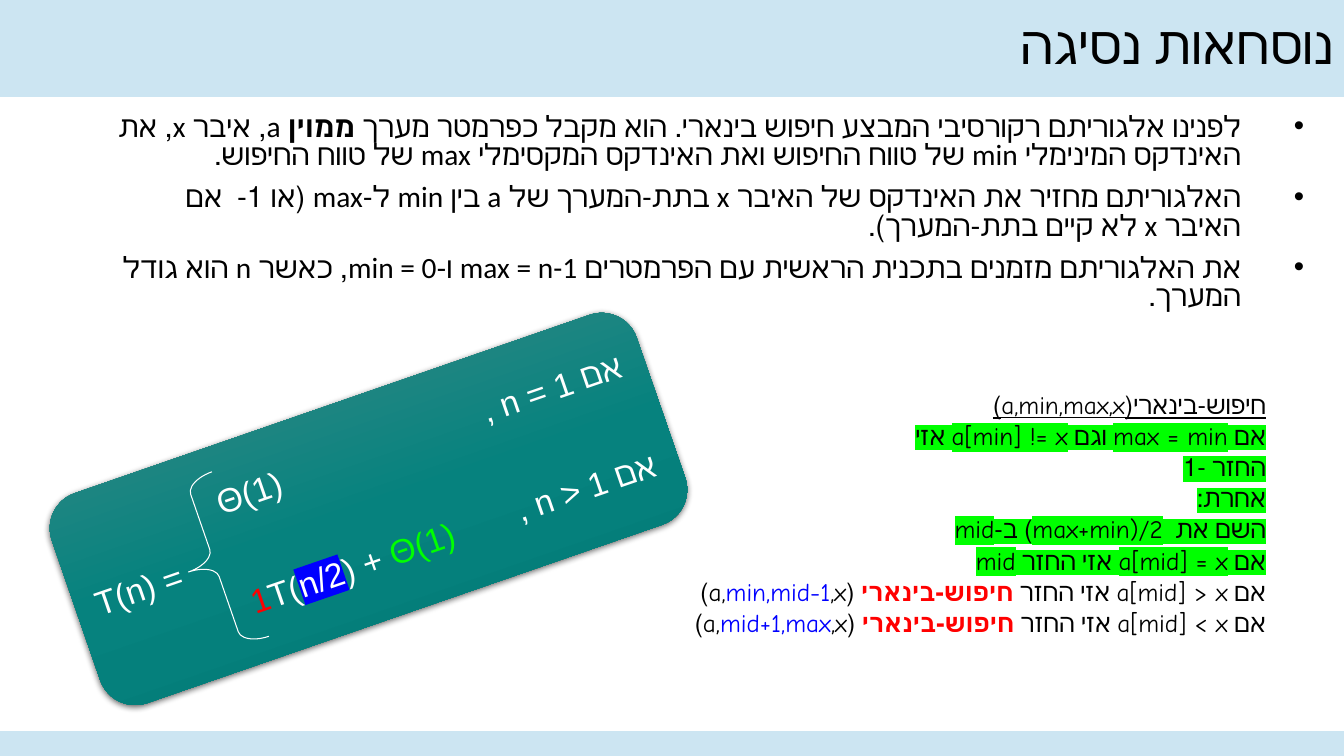
from lxml import etree
from pptx import Presentation
from pptx import util as u
from pptx.dml.color import RGBColor
from pptx.enum import shapes, text
from pptx.oxml import ns, parse_xml

SCALE = 914400 / 100.8
TILT = 340.9
COLORS = {
    "band": "CCE5F2", "ink": "000000", "white": "FFFFFF", "red": "FF0000",
    "blue": "0000FF", "green": "00FF00",
    "card_top": "478C88", "card_middle": "06827E", "card_bottom": "007773",
}

BULLETS = [
    [("לפנינו אלגוריתם רקורסיבי המבצע חיפוש בינארי. הוא מקבל כפרמטר מערך ", {}),
     ("ממוין", {"bold": True}),
     (" a, איבר x, את האינדקס המינימלי min של טווח החיפוש ואת האינדקס המקסימלי max של טווח החיפוש.", {})],
    [("האלגוריתם מחזיר את האינדקס של האיבר x בתת-המערך של a בין min ל-max (או 1-  אם האיבר x לא קיים בתת-המערך).", {})],
    [("את האלגוריתם מזמנים בתכנית הראשית עם הפרמטרים max = n-1 ו-min = 0, כאשר n הוא גודל המערך.", {})],
]
MARKED_STEPS = [
    "אם max = min וגם a[min] != x אזי",
    "החזר -1",
    "אחרת:",
    "השם את  max+min)/2) ב-mid",
    "אם a[mid] = x אזי החזר mid",
]
RECURSIVE_STEPS = [(">", "min,mid-1"), ("<", "mid+1,max")]


def px(length):
    return u.Emu(round(length * SCALE))


def rgb(name):
    return RGBColor.from_string(COLORS[name])


def add_span(para, words, font, size, color="ink", bold=False, underline=False, mark=None):
    span = para.add_run()
    span.text = words
    span.font.name = font
    span.font.size = u.Pt(size)
    span.font.bold = bold
    span.font.underline = underline
    span.font.color.rgb = rgb(color)
    if mark:
        highlight = etree.Element(ns.qn("a:highlight"))
        etree.SubElement(highlight, ns.qn("a:srgbClr"), val=COLORS[mark])
        span.font._element.find(ns.qn("a:solidFill")).addnext(highlight)


def set_right_to_left(para, margin=0, indent=0, bullet=None):
    para.alignment = text.PP_ALIGN.RIGHT
    settings = para._p.get_or_add_pPr()
    settings.set("rtl", "1")
    settings.set("marL", "0")
    settings.set("marR", str(px(margin)))
    settings.set("marL", str(px(margin)))
    settings.set("indent", str(px(indent)))
    if bullet:
        etree.SubElement(settings, ns.qn("a:buFont"), typeface="Arial")
        etree.SubElement(settings, ns.qn("a:buChar"), char=bullet)


def next_paragraph(frame):
    first = frame.paragraphs[0]
    return frame.add_paragraph() if first.runs else first


def add_band(page, left, top, width, height):
    band = page.shapes.add_shape(shapes.MSO_SHAPE.RECTANGLE, px(left), px(top), px(width), px(height))
    band.shadow.inherit = False
    band.fill.solid()
    band.fill.fore_color.rgb = rgb("band")
    band.line.color.rgb = rgb("band")
    band.line.width = u.Pt(1)


def place_title(page, left, top, width, height):
    title = page.shapes.title
    title.left, title.top, title.width, title.height = map(px, (left, top, width, height))
    page.shapes._spTree.append(title._element)
    title.text_frame.vertical_anchor = text.MSO_ANCHOR.MIDDLE
    para = title.text_frame.paragraphs[0]
    set_right_to_left(para)
    para.line_spacing = 0.9
    add_span(para, "נוסחאות נסיגה", "Calibri", 38)


def add_body(page, left, top, width, height):
    box = page.shapes.add_textbox(px(left), px(top), px(width), px(height))
    frame = box.text_frame
    frame.word_wrap = True
    for index, spans in enumerate(BULLETS):
        para = next_paragraph(frame)
        set_right_to_left(para, 63, -63, "•")
        para.line_spacing = 0.8
        para.space_before = u.Pt(10 if index else 0)
        for words, style in spans:
            add_span(para, words, "Calibri", 21, **style)
    steps = [[("חיפוש-בינארי(a,min,max,x)", {"underline": True})]]
    steps += [[(words, {"mark": "green"})] for words in MARKED_STEPS]
    steps += [[(f"אם a[mid] {sign} x אזי החזר ", {}),
               ("חיפוש-בינארי", {"color": "red", "bold": True}),
               (" (a,", {}), (bounds, {"color": "blue"}), (",x)", {})]
              for sign, bounds in RECURSIVE_STEPS]
    for index, spans in enumerate(steps):
        para = next_paragraph(frame)
        set_right_to_left(para, 38)
        para.line_spacing = 0.8
        para.space_before = u.Pt(5 if index else 59)
        for words, style in spans:
            add_span(para, words, "Comic Neue", 18, **style)


def add_card(page, left, top, width, height):
    card = page.shapes.add_shape(shapes.MSO_SHAPE.ROUNDED_RECTANGLE, px(left), px(top), px(width), px(height))
    card.rotation = TILT
    card.line.fill.background()
    stops = "".join(
        f'<a:gs pos="{place}"><a:srgbClr val="{COLORS[name]}"/></a:gs>'
        for place, name in ((0, "card_top"), (50000, "card_middle"), (100000, "card_bottom")))
    card._element.spPr.find(ns.qn("a:prstGeom")).addnext(parse_xml(
        f'<a:gradFill {ns.nsdecls("a")} rotWithShape="1"><a:gsLst>{stops}</a:gsLst>'
        '<a:lin ang="5400000" scaled="0"/></a:gradFill>'))
    card._element.spPr.append(parse_xml(
        f'<a:effectLst {ns.nsdecls("a")}><a:outerShdw blurRad="57150" dist="19050" dir="5400000" '
        f'rotWithShape="0"><a:srgbClr val="{COLORS["ink"]}"><a:alpha val="63000"/></a:srgbClr>'
        '</a:outerShdw></a:effectLst>'))
    card.text_frame.vertical_anchor = text.MSO_ANCHOR.MIDDLE
    para = card.text_frame.paragraphs[0]
    para.alignment = text.PP_ALIGN.LEFT
    add_span(para, "T(n) =", "Arial", 24, "white")


def add_cases(page, left, top, width, height):
    box = page.shapes.add_textbox(px(left), px(top), px(width), px(height))
    box.rotation = TILT
    frame = box.text_frame
    frame.word_wrap = True
    cases = [
        [("Θ(1)", {}), ("\t, n = 1 אם", {})],
        [("1", {"color": "red"}), ("T(", {}), ("n/2", {"mark": "blue"}), (") + ", {}),
         ("Θ(1)", {"color": "green"}), ("\t, n > 1 אם", {})],
    ]
    for index, spans in enumerate(cases):
        para = next_paragraph(frame)
        para.alignment = text.PP_ALIGN.LEFT
        tabs = etree.SubElement(para._p.get_or_add_pPr(), ns.qn("a:tabLst"))
        etree.SubElement(tabs, ns.qn("a:tab"), pos=str(px(281)), algn="l")
        para.space_before = u.Pt(46 * index)
        for words, style in spans:
            add_span(para, words, "Arial", 24, **{"color": "white", **style})


def add_brace(page, left, top, width, height):
    brace = page.shapes.add_shape(shapes.MSO_SHAPE.LEFT_BRACE, px(left), px(top), px(width), px(height))
    brace.rotation = TILT
    brace.adjustments[0] = 0.26
    brace.shadow.inherit = False
    brace.fill.background()
    brace.line.color.rgb = rgb("white")
    brace.line.width = u.Pt(0.75)


def add_recurrence(page, left, top):
    add_card(page, left, top, 619, 222)
    add_cases(page, left + 153, top + 3, 473, 157)
    add_brace(page, left + 128, top + 78, 55, 174)


def main():
    deck = Presentation()
    deck.slide_width, deck.slide_height = px(1344), px(756)
    page = deck.slides.add_slide(deck.slide_layouts[5])
    add_band(page, 0, 0, 1344, 96)
    add_band(page, 0, 732, 1344, 24)
    add_body(page, 31, 110, 1283, 606)
    place_title(page, 114, -1, 1230, 96)
    add_recurrence(page, 59, 398)
    deck.save("out.pptx")


if __name__ == "__main__":
    main()
